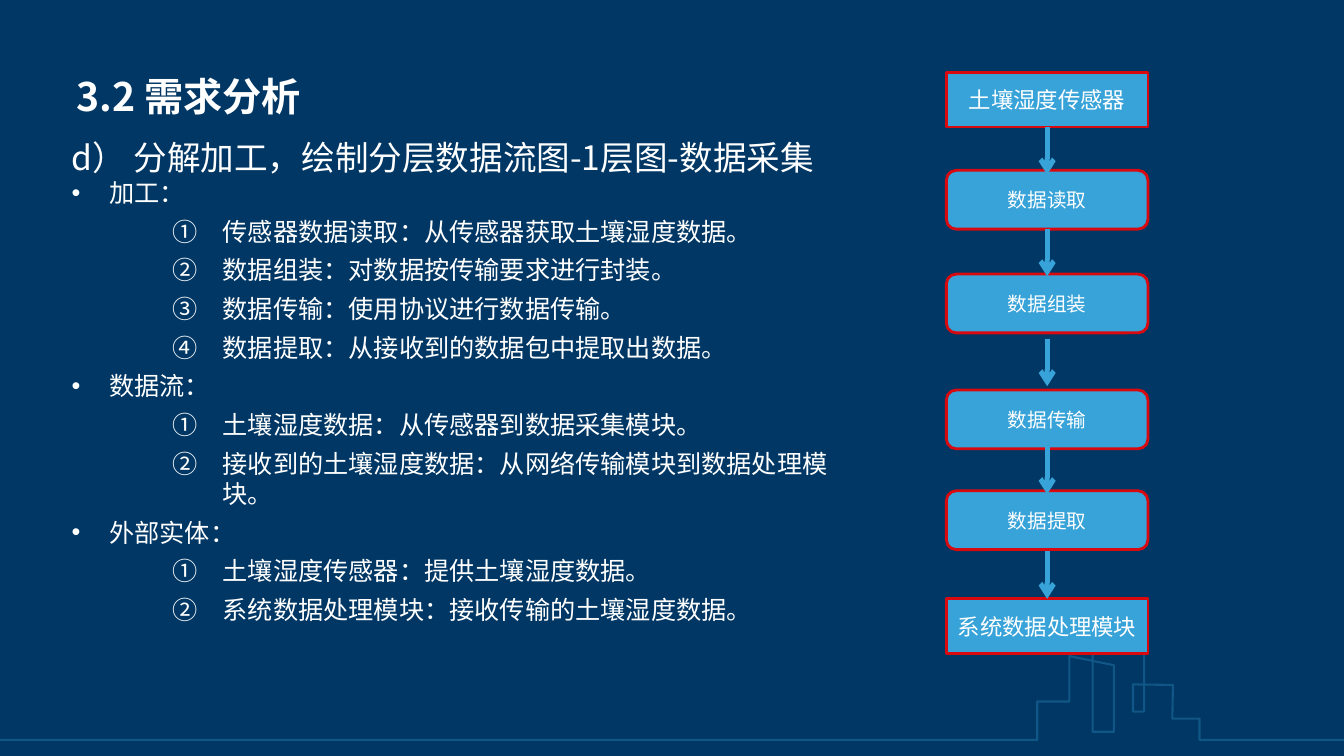
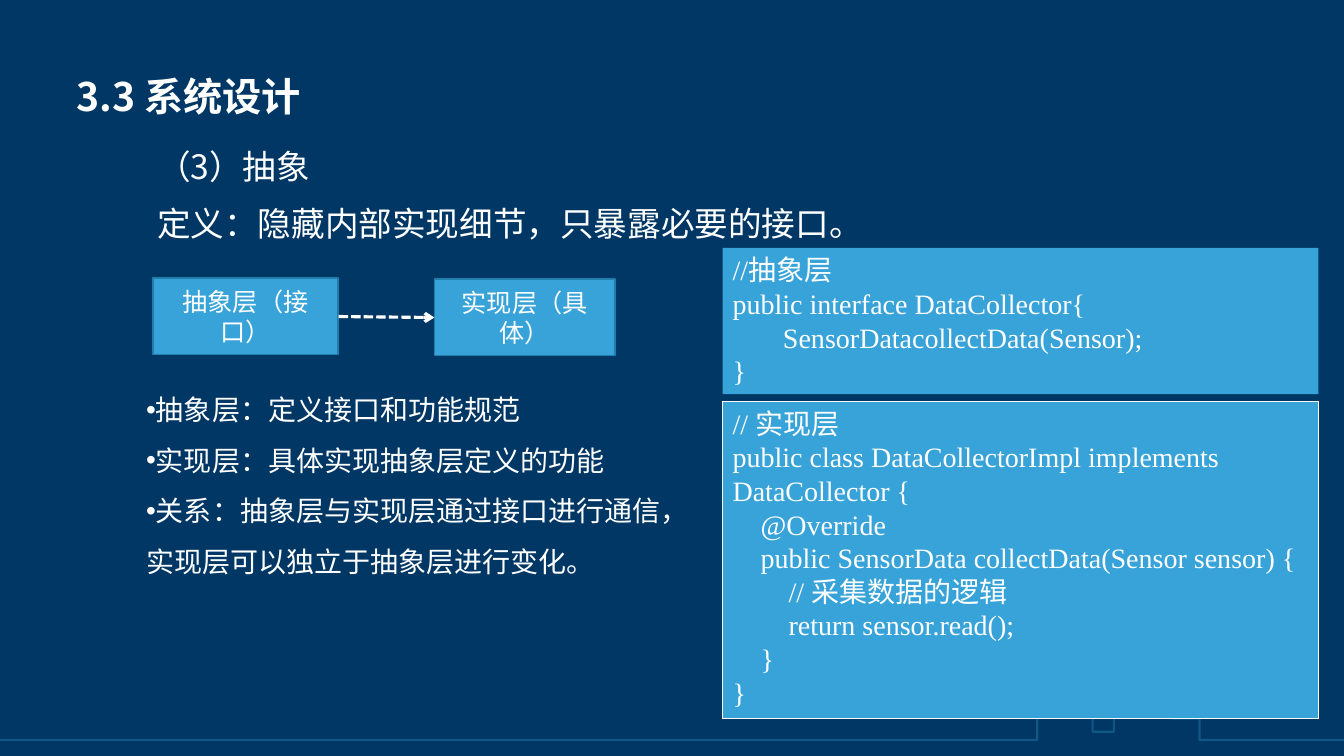
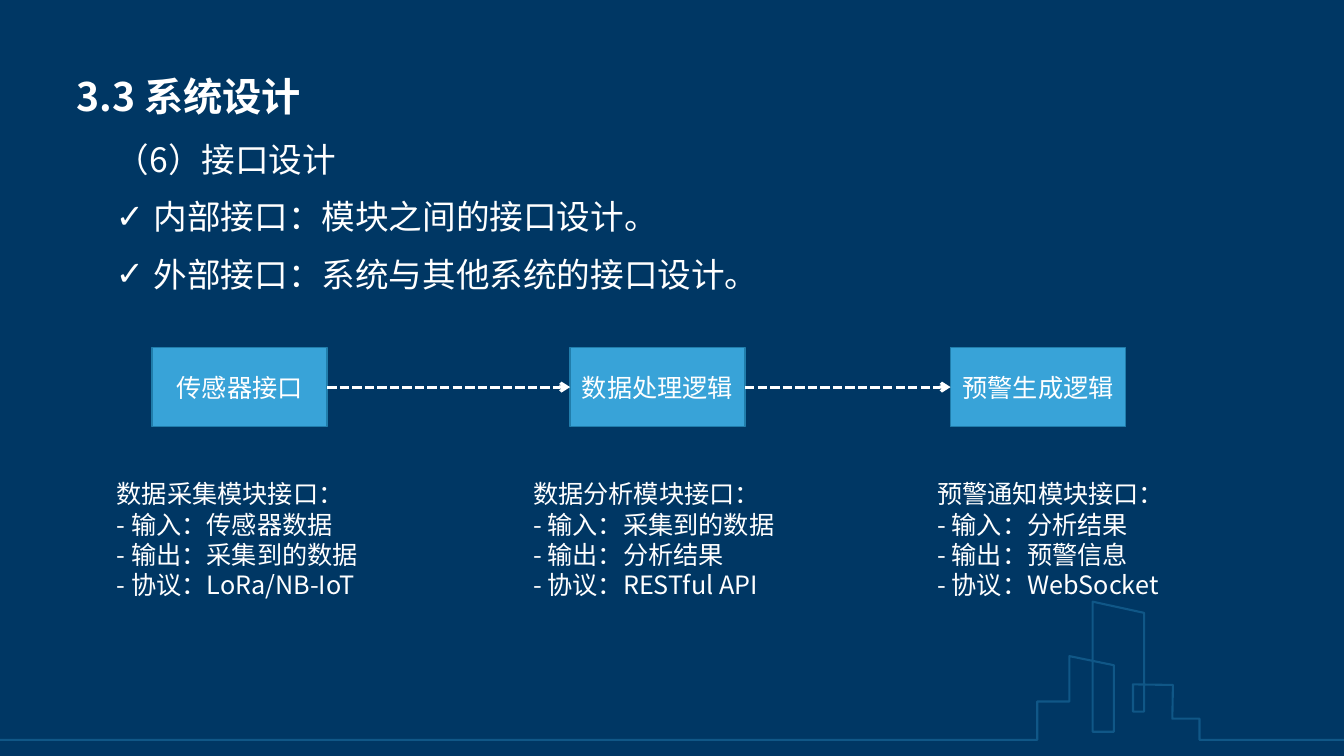
from dataclasses import dataclass
from itertools import pairwise

from lxml.etree import SubElement
from pptx import Presentation
from pptx.dml.color import RGBColor as RGB
from pptx.enum.dml import MSO_LINE
from pptx.enum.shapes import MSO_CONNECTOR as CONN, MSO_SHAPE as SHAPE
from pptx.enum.text import MSO_ANCHOR as ANCHOR, MSO_AUTO_SIZE as AUTO, PP_ALIGN as ALIGN
from pptx.oxml.ns import qn
from pptx.util import Pt


# Theme
@dataclass(frozen=True)
class Theme:
    navy: RGB = RGB(0x00, 0x37, 0x64)
    sky: RGB = RGB(0x38, 0xA3, 0xD8)
    edge: RGB = RGB(0x21, 0x7D, 0xAB)
    red: RGB = RGB(0xD8, 0x09, 0x0F)
    white: RGB = RGB(0xFF, 0xFF, 0xFF)
    font: str = "Noto Sans CJK SC"
    code_font: str = "Times New Roman"
    title: int = 28
    lead: int = 24
    code: int = 20
    text: int = 18
    node: int = 16
    step: int = 14


T = Theme()

# Paragraph kinds: left margin and first-line indent in points, bullet, level
KINDS = {
    "plain": dict(margin=0, indent=0),
    "dot": dict(margin=27, indent=-27, char="•"),
    "tight": dict(margin=0, indent=0, char="•"),
    "check": dict(margin=27, indent=-27, char="✓"),
    "number": dict(margin=108, indent=-36, auto="circleNumDbPlain", level=2),
    "code_indent": dict(margin=0, indent=36),
}

SKYLINE = [(960, 528.5), (856.8, 528.5), (856.8, 513.4), (837.4, 513.4), (837.8, 489.3),
           (809.3, 488.9), (809.3, 508.3), (817.2, 508.3), (817.2, 437.8), (780.5, 429.8),
           (780.5, 522.7), (795.6, 522.7), (795.6, 475.2), (763.9, 468.7), (763.9, 501.1),
           (740.9, 501.1), (740.9, 528.5), (0, 528.5)]


# Helpers
def assign(obj, **fmt):
    for name, value in fmt.items():
        setattr(obj, name, value)


def place(s, left, top, width, height):
    assign(s, left=Pt(left), top=Pt(top), width=Pt(width), height=Pt(height))


def add_run(p, text, size, font=T.font, bold=False):
    r = p.add_run()
    r.text = text
    assign(r.font, size=Pt(size), name=font, bold=bold)
    r.font.color.rgb = T.white
    SubElement(r.font._element, qn("a:ea"), typeface=T.font)


def set_kind(p, margin, indent, char=None, auto=None, level=0):
    p.level = level
    pPr = p._p.get_or_add_pPr()
    pPr.set("marL", str(Pt(margin)))
    pPr.set("indent", str(Pt(indent)))
    if char:
        SubElement(pPr, qn("a:buFont"), typeface="Arial")
        SubElement(pPr, qn("a:buChar"), char=char)
    elif auto:
        SubElement(pPr, qn("a:buFontTx"))
        SubElement(pPr, qn("a:buAutoNum"), type=auto)
    else:
        SubElement(pPr, qn("a:buNone"))


def write(tf, items, size, font=T.font, before=0, spacing=1.0, align=ALIGN.LEFT):
    """Fill a frame; an item is a text or a (kind, text[, size[, before]]) tuple."""
    assign(tf, word_wrap=True, auto_size=AUTO.NONE)
    for i, item in enumerate(items):
        kind, text, *own = ("plain", item) if isinstance(item, str) else item
        p = tf.paragraphs[0] if i == 0 else tf.add_paragraph()
        set_kind(p, **KINDS[kind])
        gap = own[1] if len(own) > 1 else before
        assign(p, alignment=align, line_spacing=spacing, space_before=Pt(gap if i else 0))
        add_run(p, text, own[0] if own else size, font)


def add_slide(prs, layout, title):
    s = prs.slides.add_slide(prs.slide_layouts[layout])
    p = s.shapes.title.text_frame.paragraphs[0]
    p.alignment = ALIGN.LEFT
    add_run(p, title, T.title, bold=True)
    return s


def add_body(s, idx, at, items, size, **fmt):
    body = s.placeholders[idx]
    place(body, *at)
    body.text_frame.vertical_anchor = ANCHOR.TOP
    write(body.text_frame, items, size, **fmt)


def add_text(s, at, items, size):
    write(s.shapes.add_textbox(*map(Pt, at)).text_frame, items, size)


def add_box(s, at, items, size, line=None, width=1, shape=SHAPE.RECTANGLE,
            anchor=ANCHOR.MIDDLE, align=ALIGN.CENTER, font=T.font):
    box = s.shapes.add_shape(shape, *map(Pt, at))
    box.shadow.inherit = False
    box.fill.solid()
    box.fill.fore_color.rgb = T.sky
    if line is None:
        box.line.fill.background()
    else:
        box.line.color.rgb = line
        box.line.width = Pt(width)
    box.text_frame.vertical_anchor = anchor
    write(box.text_frame, items, size, font=font, align=align)


def add_code(s, at, lines, line=None):
    add_box(s, at, lines, T.code, line, anchor=ANCHOR.TOP, align=ALIGN.LEFT, font=T.code_font)


def add_arrow(s, x1, y1, x2, y2, color=T.white, width=2.25, dash=MSO_LINE.SQUARE_DOT):
    c = s.shapes.add_connector(CONN.STRAIGHT, *map(Pt, (x1, y1, x2, y2)))
    c.line.color.rgb = color
    assign(c.line, width=Pt(width), dash_style=dash)
    SubElement(c.line._get_or_add_ln(), qn("a:tailEnd"), type="arrow")
    SubElement(c._element.spPr, qn("a:effectLst"))


# Shared master: background, title position, skyline
def style_master(prs, s):
    master = prs.slide_master
    master.background.fill.solid()
    master.background.fill.fore_color.rgb = T.navy
    title = master.placeholders[0]
    place(title, 54.7, 28.1, 850.3, 56.9)
    assign(title.text_frame, vertical_anchor=ANCHOR.BOTTOM, margin_left=0, margin_right=0,
           margin_top=0, margin_bottom=0)

    start, *rest = [(Pt(x), Pt(y)) for x, y in SKYLINE]
    builder = s.shapes.build_freeform(*start)
    builder.add_line_segments(rest, close=False)
    skyline = builder.convert_to_shape()
    skyline.shadow.inherit = False
    skyline.fill.background()
    skyline.line.color.rgb = T.sky
    skyline.line.width = Pt(1.5)
    color = skyline._element.xpath(".//a:ln//a:srgbClr")[0]
    SubElement(color, qn("a:alpha"), val="30000")
    skyline._element.nvSpPr.cNvPr.set("id", "20")
    master.shapes.element.append(skyline._element)


# Slides
def build_analysis(prs):
    s = add_slide(prs, 1, "3.2 需求分析")
    style_master(prs, s)
    add_body(s, 1, (43.9, 94.3, 571, 414), [
        ("plain", "d） 分解加工，绘制分层数据流图-1层图-数据采集", T.lead),
        ("dot", "加工：", T.text, 0),
        ("number", "传感器数据读取：从传感器获取土壤湿度数据。"),
        ("number", "数据组装：对数据按传输要求进行封装。"),
        ("number", "数据传输：使用协议进行数据传输。"),
        ("number", "数据提取：从接收到的数据包中提取出数据。"),
        ("dot", "数据流："),
        ("number", "土壤湿度数据：从传感器到数据采集模块。"),
        ("number", "接收到的土壤湿度数据：从网络传输模块到数据处理模块。"),
        ("dot", "外部实体："),
        ("number", "土壤湿度传感器：提供土壤湿度数据。"),
        ("number", "系统数据处理模块：接收传输的土壤湿度数据。"),
    ], T.text, before=6)

    left, width = 676, 144
    for top, text in [(51.8, "土壤湿度传感器"), (427.7, "系统数据处理模块")]:
        add_box(s, (left, top, width, 39), [text], T.node, T.red, 2)
    for top, text in [(121.7, "数据读取"), (195.8, "数据组装"),
                      (278.6, "数据传输"), (350.6, "数据提取")]:
        add_box(s, (left, top, width, 42), [text], T.step, T.red, 2,
                shape=SHAPE.ROUNDED_RECTANGLE)
    middle = left + width / 2
    for top in (90.7, 163.4, 241.9, 319, 393.8):
        add_arrow(s, middle, top, middle, top + 34, T.sky, 3.5, MSO_LINE.SOLID)


def build_abstraction(prs):
    s = add_slide(prs, 3, "3.3 系统设计")
    add_body(s, 1, (105, 100.8, 800, 76.3),
             ["（3）抽象", "定义：隐藏内部实现细节，只暴露必要的接口。"], T.lead, before=12)
    add_body(s, 2, (97.2, 265, 399, 188), [
        ("tight", "抽象层：定义接口和功能规范"),
        ("tight", "实现层：具体实现抽象层定义的功能"),
        ("tight", "关系：抽象层与实现层通过接口进行通信，实现层可以独立于抽象层进行变化。"),
    ], T.code, spacing=1.5)

    add_box(s, (109.4, 198.7, 132, 54.7), ["抽象层（接口）"], T.text, T.edge)
    add_box(s, (310.3, 199.4, 129, 54.7), ["实现层（具体）"], T.text, T.edge)
    add_arrow(s, 241.9, 226.1, 310.3, 226.8)

    add_code(s, (516.2, 177.1, 425.5, 104.4), [
        "//抽象层",
        "public interface DataCollector{",
        ("code_indent", "SensorDatacollectData(Sensor);"),
        "}",
    ])
    add_code(s, (516.2, 286.6, 425.5, 226.8), [
        "// 实现层",
        "public class DataCollectorImpl implements DataCollector {",
        "    @Override",
        "    public SensorData collectData(Sensor sensor) {",
        "        // 采集数据的逻辑",
        "        return sensor.read();",
        "    }",
        "}",
    ], T.white)


def build_interfaces(prs):
    s = add_slide(prs, 1, "3.3 系统设计")
    add_body(s, 1, (75.6, 95.8, 816, 120), [
        "（6）接口设计",
        ("check", "内部接口：模块之间的接口设计。"),
        ("check", "外部接口：系统与其他系统的接口设计。"),
    ], T.lead, before=12)

    top, width, height = 248.4, 125, 56.2
    modules = [
        (108.7, "传感器接口", 76.3, "数据采集", "传感器数据", "采集到的数据", "LoRa/NB-IoT"),
        (407.2, "数据处理逻辑", 373.7, "数据分析", "采集到的数据", "分析结果", "RESTful API"),
        (679, "预警生成逻辑", 662.4, "预警通知", "分析结果", "预警信息", "WebSocket"),
    ]
    for left, label, note_left, module, source, result, protocol in modules:
        add_box(s, (left, top, width, height), [label], T.text, T.edge)
        add_text(s, (note_left, 338.4, 213, 95), [
            f"{module}模块接口：", f"- 输入：{source}", f"- 输出：{result}", f"- 协议：{protocol}",
        ], T.text)
    middle = top + height / 2
    for here, following in pairwise(modules):
        add_arrow(s, here[0] + width, middle, following[0], middle)


def main():
    prs = Presentation()
    assign(prs, slide_width=Pt(960), slide_height=Pt(540))
    build_analysis(prs)
    build_abstraction(prs)
    build_interfaces(prs)
    prs.save("out.pptx")


if __name__ == "__main__":
    main()
